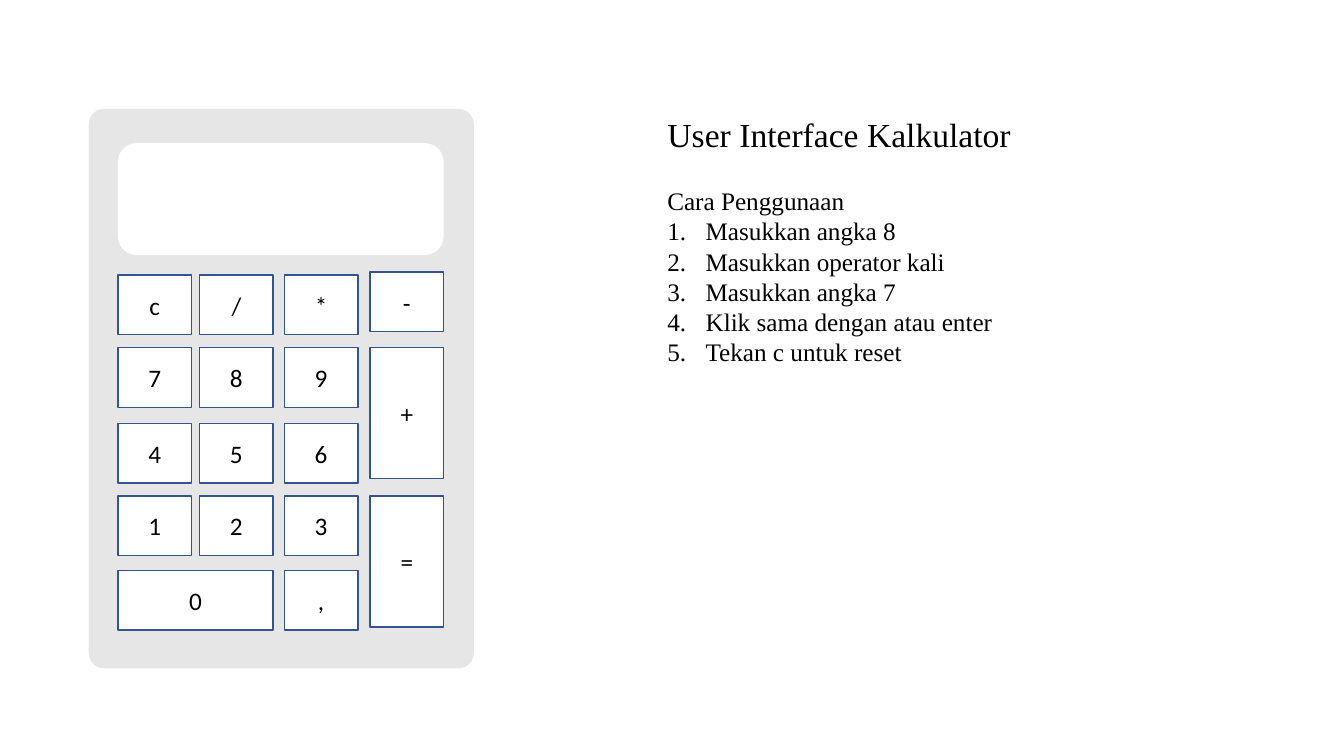
from dataclasses import dataclass

from lxml import etree
from pptx import Presentation
from pptx.dml.color import RGBColor
from pptx.enum import shapes, text
from pptx.oxml import ns
from pptx.util import Inches, Pt


@dataclass(frozen=True)
class Theme:
    """Colours, fonts and type sizes of the slide."""
    casing: str = "E7E6E6"
    white: str = "FFFFFF"
    key_line: str = "325491"
    ink: str = "000000"
    key_font: str = "Calibri"
    text_font: str = "Times New Roman"
    title_size: int = 24
    body_size: int = 18


THEME = Theme()
COLUMNS = [1.17, 1.98, 2.82, 3.67]
ROWS = [2.73, 3.45, 4.2, 4.92, 5.66]
KEY_WIDTH, KEY_HEIGHT, TALL_HEIGHT = 0.73, 0.59, 1.3
KEY_ROWS = ["c/*", "789", "456", "123"]
STEPS = [
    "Masukkan angka 8",
    "Masukkan operator kali",
    "Masukkan angka 7",
    "Klik sama dengan atau enter",
    "Tekan c untuk reset",
]


def set_all(target, values):
    """Set each attribute named in a dict of format values."""
    for name, value in values.items():
        setattr(target, name, value)


def place(shape, left, top, width, height):
    """Position and size a shape in inches."""
    set_all(shape, {"left": Inches(left), "top": Inches(top),
                    "width": Inches(width), "height": Inches(height)})


def write(para, words, font, size, align=text.PP_ALIGN.LEFT):
    """Put one formatted run in a paragraph."""
    set_all(para, {"alignment": align, "line_spacing": 1.0})
    span = para.add_run()
    span.text = words
    set_all(span.font, {"name": font, "size": Pt(size)})
    span.font.color.rgb = RGBColor.from_string(THEME.ink)


def add_panel(page, kind, bounds, fill):
    """Add a borderless filled shape."""
    panel = page.shapes.add_shape(kind, *map(Inches, bounds))
    panel.shadow.inherit = False
    panel.fill.solid()
    panel.fill.fore_color.rgb = RGBColor.from_string(fill)
    panel.line.fill.background()
    return panel


def add_key(page, label, left, top, width=KEY_WIDTH, height=KEY_HEIGHT):
    """Add one labelled calculator key."""
    key = add_panel(page, shapes.MSO_SHAPE.RECTANGLE,
                    (left, top, width, height), THEME.white)
    key.line.color.rgb = RGBColor.from_string(THEME.key_line)
    key.line.width = Pt(1)
    key.text_frame.vertical_anchor = text.MSO_ANCHOR.MIDDLE
    write(key.text_frame.paragraphs[0], label, THEME.key_font,
          THEME.body_size, text.PP_ALIGN.CENTER)


def add_calculator(page):
    """Add the casing, display and keypad."""
    rounded = shapes.MSO_SHAPE.ROUNDED_RECTANGLE
    casing = add_panel(page, rounded, (0.88, 1.08, 3.82, 5.55), THEME.casing)
    casing.adjustments[0] = 0.04
    add_panel(page, rounded, (1.17, 1.42, 3.23, 1.11), THEME.white)
    for top, labels in zip(ROWS, KEY_ROWS):
        for left, label in zip(COLUMNS, labels):
            add_key(page, label, left, top)
    zero_width = COLUMNS[1] + KEY_WIDTH - COLUMNS[0]
    add_key(page, "0", COLUMNS[0], ROWS[4], width=zero_width)
    add_key(page, ",", COLUMNS[2], ROWS[4])
    add_key(page, "-", COLUMNS[3], 2.7)
    for label, top in (("+", ROWS[1]), ("=", ROWS[3])):
        add_key(page, label, COLUMNS[3], top, height=TALL_HEIGHT)


def add_title(page, words):
    """Move and format the title placeholder."""
    title = page.shapes.title
    place(title, 6.52, 1.08, 4.97, 0.5)
    set_all(title.text_frame, {"word_wrap": True,
                               "auto_size": text.MSO_AUTO_SIZE.NONE,
                               "vertical_anchor": text.MSO_ANCHOR.TOP})
    write(title.text_frame.paragraphs[0], words,
          THEME.text_font, THEME.title_size)


def number(para):
    """Give a paragraph automatic numbering with a hanging indent."""
    props = para._p.get_or_add_pPr()
    indent = Inches(0.38)
    props.set("marL", str(indent))
    props.set("indent", str(-indent))
    etree.SubElement(props, ns.qn("a:buFont"), typeface="+mj-lt")
    etree.SubElement(props, ns.qn("a:buAutoNum"), type="arabicPeriod")


def add_instructions(page, heading, steps):
    """Add a heading followed by numbered steps."""
    box = page.shapes.add_textbox(*map(Inches, (6.52, 1.79, 4.97, 1.92)))
    frame = box.text_frame
    frame.word_wrap = True
    write(frame.paragraphs[0], heading, THEME.text_font, THEME.body_size)
    for step in steps:
        para = frame.add_paragraph()
        write(para, step, THEME.text_font, THEME.body_size)
        number(para)


def main():
    """Build and save the slide."""
    deck = Presentation()
    set_all(deck, {"slide_width": Inches(13.33), "slide_height": Inches(7.5)})
    page = deck.slides.add_slide(deck.slide_layouts.get_by_name("Title Only"))
    add_calculator(page)
    add_title(page, "User Interface Kalkulator")
    add_instructions(page, "Cara Penggunaan", STEPS)
    deck.save("out.pptx")


main()
